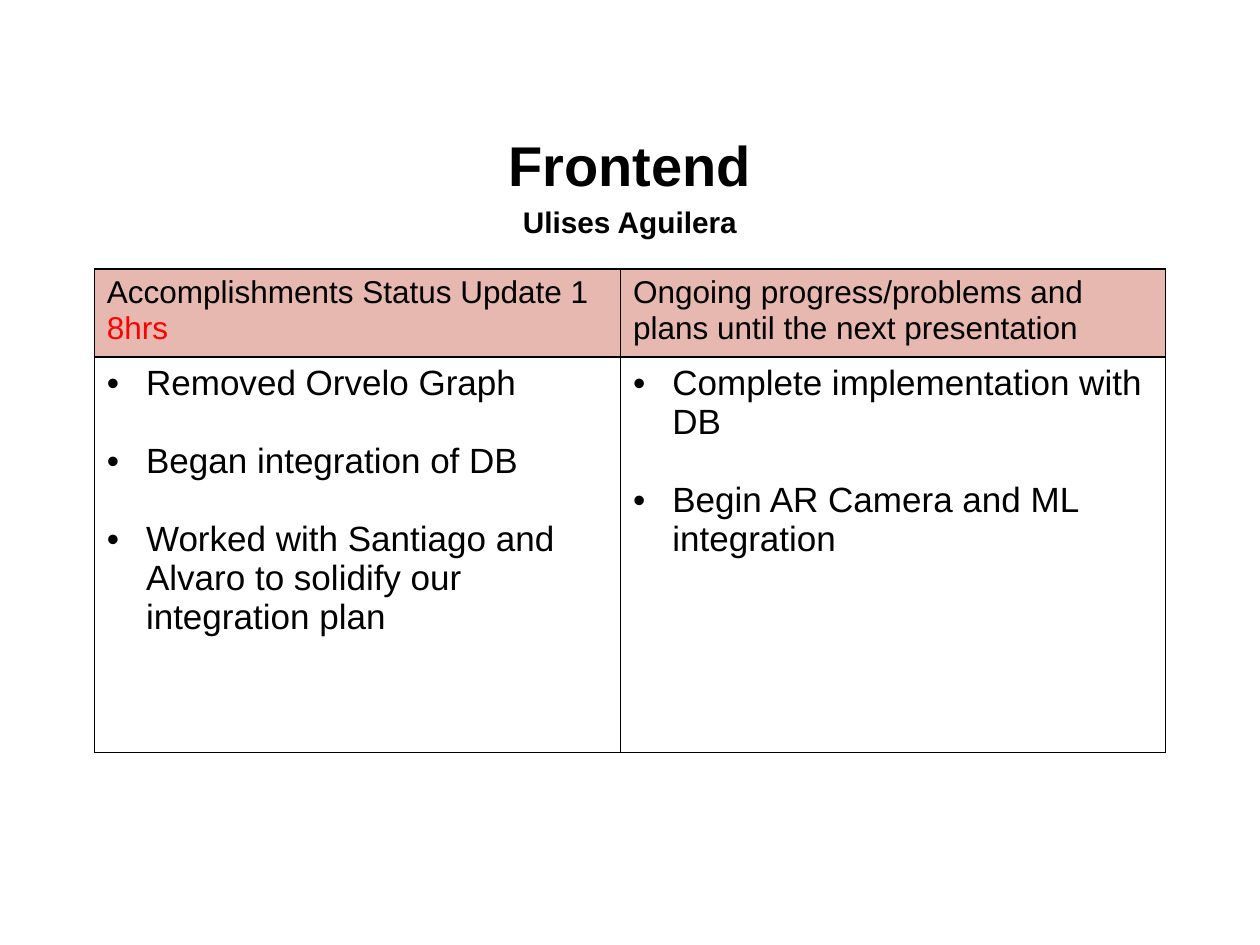
from pptx import Presentation
from pptx.dml.color import RGBColor
from pptx.enum.text import MSO_ANCHOR, MSO_AUTO_SIZE, PP_ALIGN
from pptx.oxml import parse_xml
from pptx.oxml.ns import nsdecls
from pptx.util import Cm, Pt

COLORS = {"text": "000000", "hours": "FF0000", "header": "E6B8AF", "border": "000000"}
HEADERS = [
    [("Accomplishments Status Update 1", "text"), ("8hrs", "hours")],
    [("Ongoing progress/problems and plans until the next presentation", "text")],
]
BULLETS = [
    ["Removed Orvelo Graph", "Began integration of DB",
     "Worked with Santiago and Alvaro to solidify our integration plan"],
    ["Complete implementation with DB", "Begin AR Camera and ML integration"],
]


def write(para, text, size, color="text", bold=False):
    span = para.add_run()
    span.text = text
    span.font.color.rgb = RGBColor.from_string(COLORS[color])
    for name, value in {"name": "Arial", "size": Pt(size), "bold": bold}.items():
        setattr(span.font, name, value)


def next_para(frame, index):
    """Give the first paragraph of the frame, or add one after it."""
    return frame.add_paragraph() if index else frame.paragraphs[0]


deck = Presentation()
deck.slide_width, deck.slide_height = Cm(25.4), Cm(19.05)
page = deck.slides.add_slide(deck.slide_layouts[5])

# Title and presenter
title = page.shapes.title
for name, value in {"left": 1.27, "top": 2.51, "width": 22.86, "height": 2.24}.items():
    setattr(title, name, Cm(value))
frame = title.text_frame
frame.auto_size = MSO_AUTO_SIZE.NONE
frame.vertical_anchor = MSO_ANCHOR.MIDDLE
for index, (text, size) in enumerate([("Frontend", 32), ("Ulises Aguilera", 17)]):
    para = next_para(frame, index)
    para.alignment = PP_ALIGN.CENTER
    para.line_spacing = 1.15
    para.space_before = Pt(0)
    write(para, text, size, bold=True)

# Status table
table = page.shapes.add_table(2, 2, Cm(1.9), Cm(5.42), Cm(21.59), Cm(9.75)).table
table.first_row = table.horz_banding = False
for column, width in zip(table.columns, (10.61, 10.98)):
    column.width = Cm(width)
for row, height in zip(table.rows, (1.78, 7.97)):
    row.height = Cm(height)

for column, (header, bullets) in enumerate(zip(HEADERS, BULLETS)):
    cell = table.cell(0, column)
    cell.fill.solid()
    cell.fill.fore_color.rgb = RGBColor.from_string(COLORS["header"])
    for index, (text, color) in enumerate(header):
        write(next_para(cell.text_frame, index), text, 18, color)

    cell = table.cell(1, column)
    cell.fill.background()
    for index, text in enumerate(bullets):
        para = next_para(cell.text_frame, index)
        props = para._p.get_or_add_pPr()
        props.set("marL", str(Cm(0.79)))
        props.set("indent", str(-Cm(0.79)))
        props.append(parse_xml(f'<a:buFont {nsdecls("a")} typeface="Arial"/>'))
        props.append(parse_xml(f'<a:buChar {nsdecls("a")} char="•"/>'))
        if index:
            para.space_before = Pt(22.3)
        write(para, text, 20)

for cell in table.iter_cells():
    for position, side in enumerate(("lnL", "lnR", "lnT", "lnB")):
        cell._tc.get_or_add_tcPr().insert(position, parse_xml(
            f'<a:{side} {nsdecls("a")} w="{Pt(1)}"><a:solidFill>'
            f'<a:srgbClr val="{COLORS["border"]}"/></a:solidFill></a:{side}>'))

deck.save("out.pptx")
